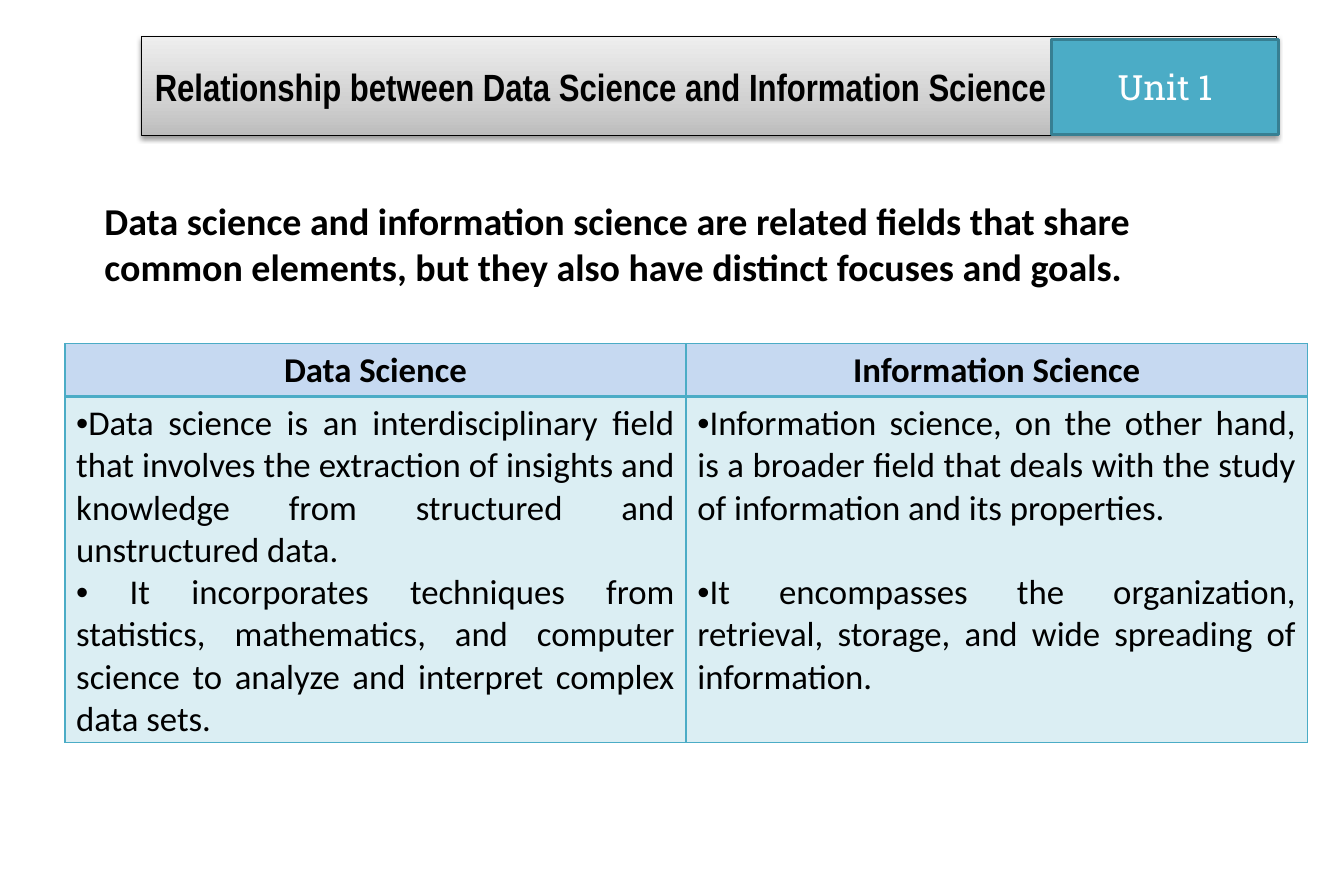
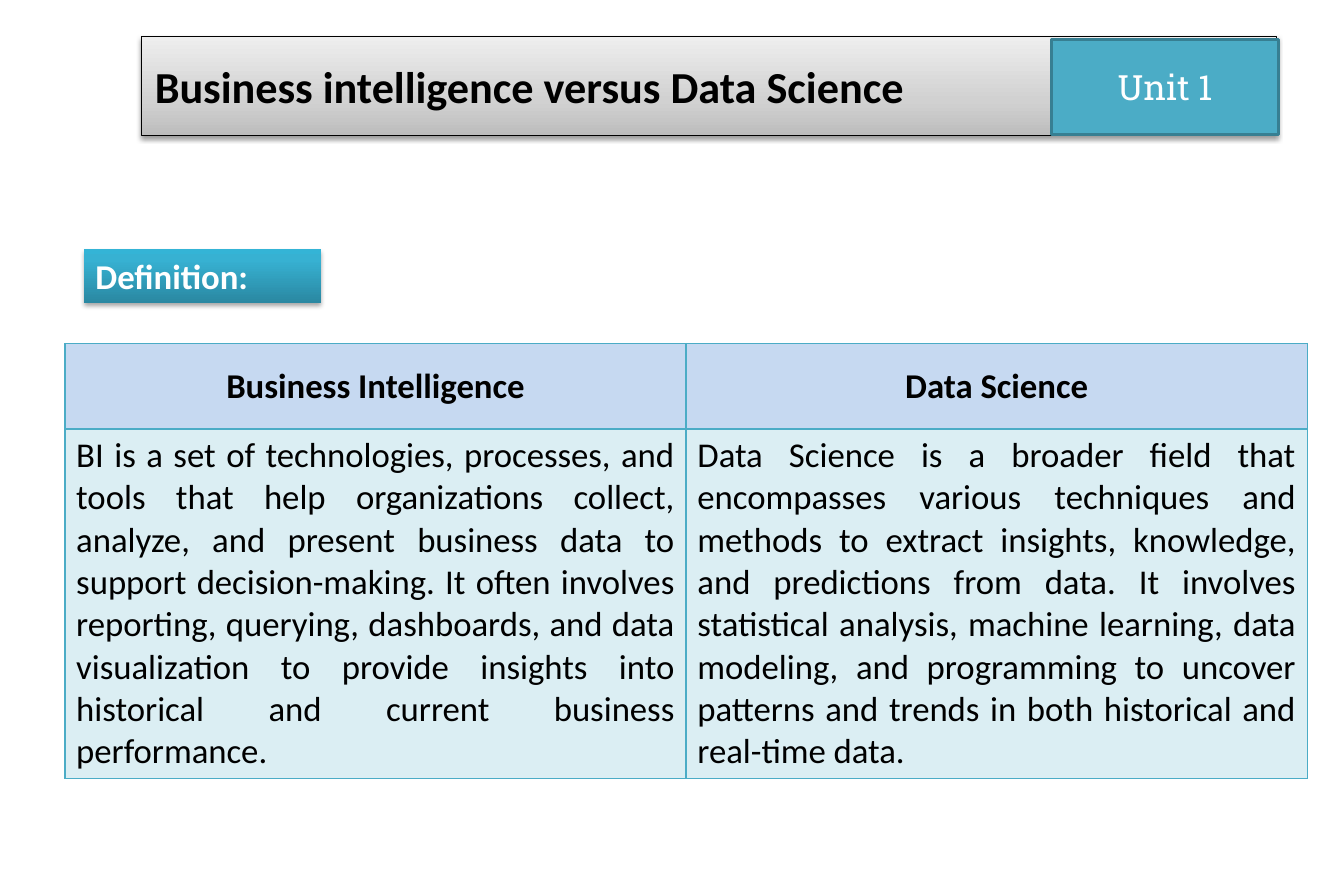
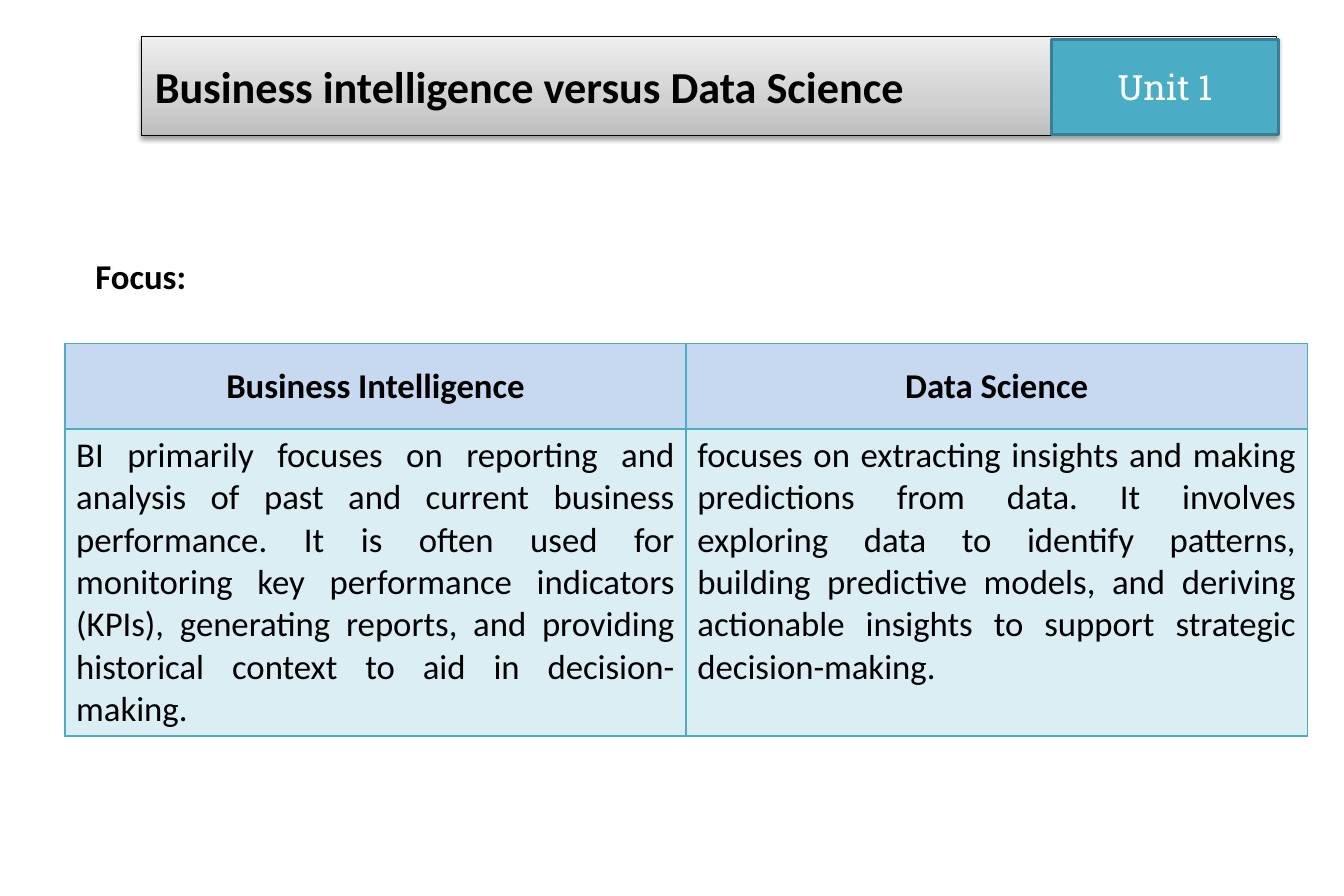
from lxml import etree
from pptx import Presentation
from pptx.dml.color import RGBColor
from pptx.enum import shapes, text
from pptx.oxml import ns
from pptx.util import Inches, Pt

SLIDE_HEIGHT = Inches(63 / 8)
SLIDE_WIDTH = SLIDE_HEIGHT * 3 // 2

COLORS = {
    "ink": "000000", "white": "FFFFFF", "teal": "4BACC6",
    "teal_edge": "377F92", "header": "C6D9F1",
}
GRADIENTS = {
    "title": [(0, "BDBDBD"), (35, "D1D1D1"), (100, "EEEEEE")],
    "tag": [(0, "2A88A2"), (80, "37B1D2"), (100, "34B4D6")],
}
SHADOWS = {  # opacity in percent, blur and distance in points
    "title": (38, 3.1, 1.6),
    "tag": (35, 3.1, 1.8),
}
FONTS = {
    "body": {"name": "Calibri", "size": Pt(22), "bold": False},
    "strong": {"name": "Calibri", "size": Pt(22), "bold": True},
    "intro": {"name": "Calibri", "size": Pt(24), "bold": True},
    "title": {"name": "Calibri", "size": Pt(28), "bold": True},
    "long_title": {"name": "Arial Narrow", "size": Pt(24), "bold": True},
    "unit": {"name": "Roboto Slab", "size": Pt(22), "bold": False},
}
PLACES = {
    "title": (1.24, 0.32, 9.98, 0.87),
    "unit": (9.24, 0.35, 2, 0.83),
    "intro": (0.82, 1.69, 10.5, 0.91),
    "label": (0.74, 2.19, 2.08, 0.47),
    "table": (0.57, 3.02, 10.92),
}
BI_HEADINGS = ["Business Intelligence", "Data Science"]
BI_TITLE = "Business intelligence versus Data Science"

SLIDES = [
    {
        "title": "Relationship between Data Science and Information Science",
        "title_font": "long_title",
        "lead": "Data science and information science are related fields that share "
                "common elements, but they also have distinct focuses and goals.",
        "lead_style": "intro",
        "headings": ["Data Science", "Information Science"],
        "cells": [
            ["Data science is an interdisciplinary field that involves the extraction "
             "of insights and knowledge from structured and unstructured data.",
             " It incorporates techniques from statistics, mathematics, and computer "
             "science to analyze and interpret complex data sets."],
            ["Information science, on the other hand, is a broader field that deals "
             "with the study of information and its properties.",
             "It encompasses the organization, retrieval, storage, and wide spreading "
             "of information."],
        ],
        "gaps": [0, 26.8],
        "bullets": True,
        "rows": [0.46, 3.04],
    },
    {
        "title": BI_TITLE,
        "title_font": "title",
        "lead": "Definition:",
        "lead_style": "tag",
        "headings": BI_HEADINGS,
        "cells": [
            ["BI is a set of technologies, processes, and tools that help organizations "
             "collect, analyze, and present business data to support decision-making. "
             "It often involves reporting, querying, dashboards, and data visualization "
             "to provide insights into historical and current business performance."],
            ["Data Science is a broader field that encompasses various techniques and "
             "methods to extract insights, knowledge, and predictions from data. It "
             "involves statistical analysis, machine learning, data modeling, and "
             "programming to uncover patterns and trends in both historical and "
             "real-time data."],
        ],
        "rows": [0.75, 3.07],
    },
    {
        "title": BI_TITLE,
        "title_font": "title",
        "lead": "Focus:",
        "lead_style": "label",
        "headings": BI_HEADINGS,
        "cells": [
            ["BI primarily focuses on reporting and analysis of past and current "
             "business performance. It is often used for monitoring key performance "
             "indicators (KPIs), generating reports, and providing historical context "
             "to aid in decision-making."],
            ["focuses on extracting insights and making predictions from data. It "
             "involves exploring data to identify patterns, building predictive models, "
             "and deriving actionable insights to support strategic decision-making."],
        ],
        "rows": [0.75, 2.7],
    },
]


def rgb(name):
    return RGBColor.from_string(COLORS[name])


def place(name):
    return [Inches(value) for value in PLACES[name]]


def add_xml(parent, tag, **attributes):
    values = {key: str(value) for key, value in attributes.items()}
    return etree.SubElement(parent, ns.qn(tag), values)


def write(frame, lines, font, color="ink", align=text.PP_ALIGN.LEFT,
          bullets=False, gap=0):
    """Put each line in its own paragraph; gap is the space between them in points."""
    for index, line in enumerate(lines):
        paragraph = frame.add_paragraph() if index else frame.paragraphs[0]
        paragraph.alignment = align
        if index:
            paragraph.space_before = Pt(gap)
        if bullets:
            properties = paragraph._p.get_or_add_pPr()
            properties.set("marL", "0")
            properties.set("indent", "0")
            add_xml(properties, "a:buFont", typeface="Arial")
            add_xml(properties, "a:buChar", char="•")
        run = paragraph.add_run()
        run.text = line
        for key, value in FONTS[font].items():
            setattr(run.font, key, value)
        run.font.color.rgb = rgb(color)


def shade(shape, style):
    """Give the shape a bottom-to-top gradient and a soft shadow below it."""
    shape.fill.gradient()
    shape.fill.gradient_angle = 90
    stops = shape._element.spPr.find(".//" + ns.qn("a:gsLst"))
    for stop in list(stops):
        stops.remove(stop)
    for position, color in GRADIENTS[style]:
        stop = add_xml(stops, "a:gs", pos=position * 1000)
        add_xml(stop, "a:srgbClr", val=color)

    shape.shadow.inherit = False
    opacity, blur, distance = SHADOWS[style]
    effects = shape._element.spPr.find(ns.qn("a:effectLst"))
    shadow = add_xml(effects, "a:outerShdw", blurRad=Pt(blur), dist=Pt(distance),
                     dir=90 * 60000, rotWithShape=0)
    color = add_xml(shadow, "a:srgbClr", val=COLORS["ink"])
    add_xml(color, "a:alpha", val=opacity * 1000)


def add_title(slide, title, font):
    shape = slide.shapes.title
    shape.left, shape.top, shape.width, shape.height = place("title")
    shade(shape, "title")
    shape.line.color.rgb = rgb("ink")
    shape.line.width = Pt(0.75)
    frame_format = {
        "margin_left": Inches(0.12), "margin_right": Inches(0.12),
        "margin_top": Inches(0.06), "margin_bottom": Inches(0.06),
        "vertical_anchor": text.MSO_ANCHOR.MIDDLE,
        "auto_size": text.MSO_AUTO_SIZE.NONE, "word_wrap": True,
    }
    for key, value in frame_format.items():
        setattr(shape.text_frame, key, value)
    write(shape.text_frame, [title], font)


def add_unit(slide):
    shape = slide.shapes.add_shape(shapes.MSO_SHAPE.RECTANGLE, *place("unit"))
    shape.shadow.inherit = False
    shape.fill.solid()
    shape.fill.fore_color.rgb = rgb("teal")
    shape.line.color.rgb = rgb("teal_edge")
    shape.line.width = Pt(2)
    write(shape.text_frame, ["Unit 1"], "unit", "white", text.PP_ALIGN.CENTER)


def add_lead(slide, words, style):
    box = place("intro" if style == "intro" else "label")
    if style == "tag":
        shape = slide.shapes.add_shape(shapes.MSO_SHAPE.RECTANGLE, *box)
        shade(shape, "tag")
        shape.line.fill.background()
    else:
        shape = slide.shapes.add_textbox(*box)
    frame = shape.text_frame
    frame.word_wrap = True
    frame.vertical_anchor = text.MSO_ANCHOR.TOP
    write(frame, [words], "intro" if style == "intro" else "strong",
          "white" if style == "tag" else "ink")


def format_cell(cell, is_header):
    """Draw the borders first, since the fill must follow them in the XML."""
    properties = cell._tc.get_or_add_tcPr()
    thick_side = "B" if is_header else "T"
    for side in "LRTB":
        line = add_xml(properties, "a:ln" + side, w=Pt(2 if side == thick_side else 1))
        add_xml(add_xml(line, "a:solidFill"), "a:srgbClr", val=COLORS["teal"])
    cell.fill.solid()
    cell.fill.fore_color.rgb = rgb("header" if is_header else "teal")
    if not is_header:
        color = properties.find(ns.qn("a:solidFill") + "/" + ns.qn("a:srgbClr"))
        add_xml(color, "a:alpha", val=20000)


def add_comparison(slide, content):
    headings, heights = content["headings"], content["rows"]
    left, top, width = place("table")
    table = slide.shapes.add_table(len(heights), len(headings), left, top, width,
                                   Inches(sum(heights))).table
    table.first_row = table.horz_banding = False
    for row, height in zip(table.rows, heights):
        row.height = Inches(height)
    gaps = content.get("gaps", [0] * len(headings))
    for column, (heading, lines, gap) in enumerate(
            zip(headings, content["cells"], gaps)):
        header, body = table.cell(0, column), table.cell(1, column)
        format_cell(header, True)
        format_cell(body, False)
        header.vertical_anchor = text.MSO_ANCHOR.MIDDLE
        write(header.text_frame, [heading], "strong", align=text.PP_ALIGN.CENTER)
        write(body.text_frame, lines, "body", align=text.PP_ALIGN.JUSTIFY,
              bullets=content.get("bullets", False), gap=gap)


def main():
    presentation = Presentation()
    presentation.slide_width = SLIDE_WIDTH
    presentation.slide_height = SLIDE_HEIGHT
    # The default template marks its slide size as 4:3.
    presentation.element.find(ns.qn("p:sldSz")).attrib.pop("type", None)
    title_only = presentation.slide_layouts[5]
    for content in SLIDES:
        slide = presentation.slides.add_slide(title_only)
        add_title(slide, content["title"], content["title_font"])
        add_unit(slide)
        add_lead(slide, content["lead"], content["lead_style"])
        add_comparison(slide, content)
    presentation.save("out.pptx")


if __name__ == "__main__":
    main()
